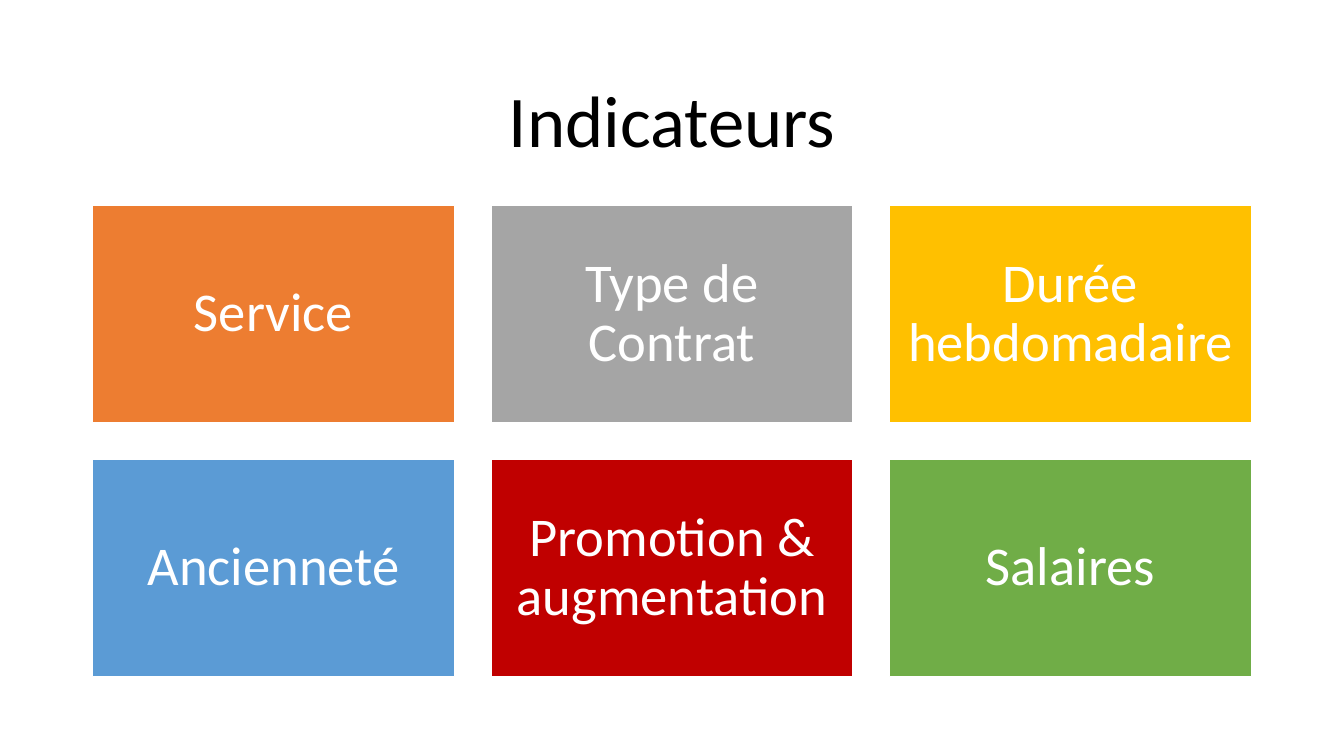
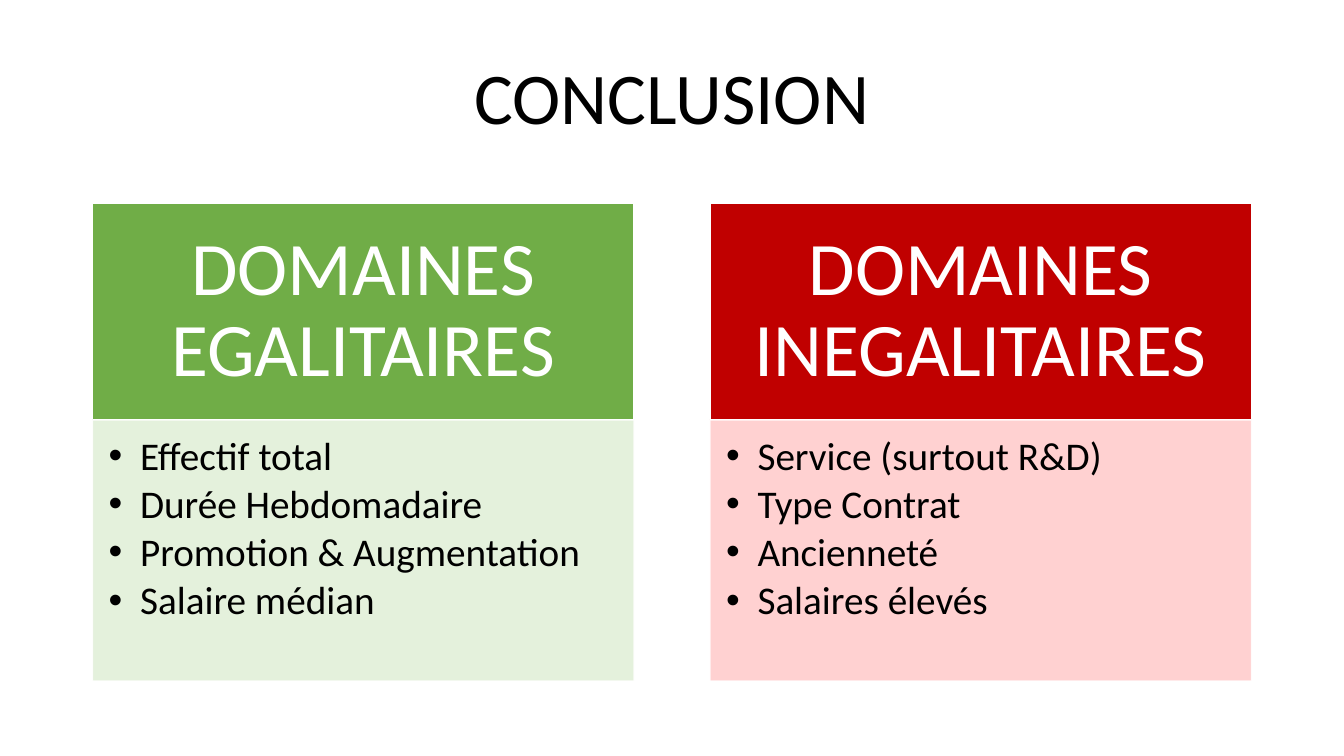
from lxml import etree
from pptx import Presentation
from pptx.dml.color import RGBColor
from pptx.enum import shapes, text
from pptx.oxml import ns
from pptx.util import Cm, Pt

# Content
THEMES = [
    [("Service", "ED7D31"), ("Type de Contrat", "A5A5A5"), ("Durée hebdomadaire", "FFC000")],
    [("Ancienneté", "5B9BD5"), ("Promotion & augmentation", "C00000"), ("Salaires", "70AD47")],
]
DOMAINS = [
    ("DOMAINES EGALITAIRES", "70AD47", "E2F0D9",
     ["Effectif total", "Durée Hebdomadaire", "Promotion & Augmentation", "Salaire médian"]),
    ("DOMAINES INEGALITAIRES", "C00000", "FFCCCC",
     ["Service (surtout R&D)", "Type Contrat", "Ancienneté", "Salaires élevés"]),
]

# Shared style
FONT, BLACK, WHITE = "Calibri", "000000", "FFFFFF"
LEFT, WIDTH = 2.33, 29.21
MID, TOP = text.MSO_ANCHOR.MIDDLE, text.MSO_ANCHOR.TOP


def rgb(code):
    return RGBColor.from_string(code)


def place(shape, x, y, w, h):
    shape.left, shape.top, shape.width, shape.height = Cm(x), Cm(y), Cm(w), Cm(h)


def paint(shape, color):
    shape.fill.solid()
    shape.fill.fore_color.rgb = rgb(color)
    shape.line.color.rgb = rgb(WHITE)
    shape.line.width = Pt(1)


def fade(shape, share):
    for fill in shape.element.spPr.iter(ns.qn("a:srgbClr")):
        etree.SubElement(fill, ns.qn("a:alpha"), val=str(share * 1000))


def write(shape, lines, size, color, pads, anchor=MID, align=text.PP_ALIGN.CENTER, after=0):
    frame = shape.text_frame
    frame.word_wrap = True
    frame.auto_size = text.MSO_AUTO_SIZE.NONE
    frame.vertical_anchor = anchor
    (frame.margin_left, frame.margin_top,
     frame.margin_right, frame.margin_bottom) = [Cm(pad) for pad in pads]
    for i, line in enumerate(lines):
        para = frame.add_paragraph() if i else frame.paragraphs[0]
        para.alignment = align
        para.line_spacing = 0.9
        para.space_before, para.space_after = Pt(0), Pt(after)
        run = para.add_run()
        run.text = line
        run.font.name, run.font.size = FONT, Pt(size)
        run.font.color.rgb = rgb(color)


def start(deck, layout, title, y):
    slide = deck.slides.add_slide(deck.slide_layouts[layout])
    place(slide.shapes.title, LEFT, y, WIDTH, 3.15)
    write(slide.shapes.title, [title], 52, BLACK, (0.25, 0.13, 0.25, 0.13))
    return slide


def block(slide, x, y, w, h, label, color, size, pads):
    box = slide.shapes.add_shape(shapes.MSO_SHAPE.RECTANGLE, Cm(x), Cm(y), Cm(w), Cm(h))
    box.shadow.inherit = False
    paint(box, color)
    write(box, [label], size, WHITE, pads)


def listing(body, lines, color):
    paint(body, color)
    fade(body, 90)
    write(body, lines, 28, BLACK, (0.41, 0.41, 0.56, 0.61), TOP, text.PP_ALIGN.LEFT, 4.2)
    for para in body.text_frame.paragraphs:
        props = para._p.get_or_add_pPr()
        props.set("marL", str(Cm(0.79)))
        props.set("indent", str(-Cm(0.79)))
        etree.SubElement(props, ns.qn("a:buFont"), typeface="Arial")
        etree.SubElement(props, ns.qn("a:buChar"), char="•")


def themes(deck):
    slide = start(deck, 5, "Indicateurs", 1.54)
    # Three columns, gaps of a tenth of a box
    wide = WIDTH / 3.2
    high, gap = wide * 0.6, wide * 0.1
    for r, row in enumerate(THEMES):
        for c, (label, color) in enumerate(row):
            block(slide, LEFT + c * (wide + gap), 5.18 + r * (high + gap), wide, high,
                  label, color, 39, (0.41,) * 4)


def domains(deck):
    slide = start(deck, 3, "CONCLUSION", 0.97)
    # Two columns, a gap of 14 % of a column
    wide = WIDTH / 2.14
    top, high = 5.12, wide * 0.4
    for c, (label, dark, light, lines) in enumerate(DOMAINS):
        x = LEFT + c * wide * 1.14
        block(slide, x, top, wide, high, label, dark, 54, (1.07, 0.61, 1.07, 0.61))
        body = slide.placeholders[c + 1]
        place(body, x, top + high, wide, 6.58)
        listing(body, lines, light)


def main():
    deck = Presentation()
    deck.slide_width, deck.slide_height = Cm(33.87), Cm(19.05)
    themes(deck)
    domains(deck)
    deck.save("out.pptx")


if __name__ == "__main__":
    main()
